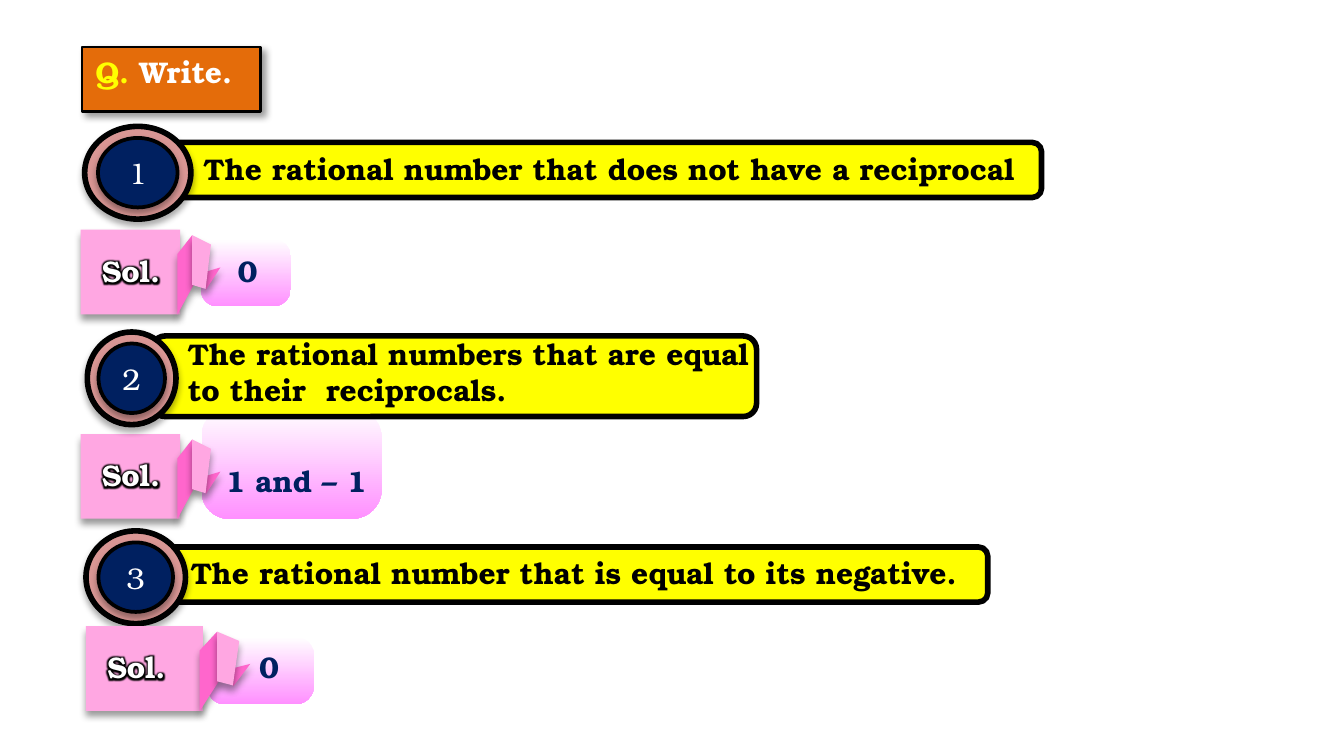
from lxml import etree
from pptx import Presentation
from pptx.dml.color import RGBColor
from pptx.enum.shapes import MSO_SHAPE
from pptx.enum.text import MSO_ANCHOR, MSO_AUTO_SIZE, PP_ALIGN
from pptx.oxml.ns import qn
from pptx.util import Inches, Pt

RECTANGLE = MSO_SHAPE.RECTANGLE
ROUNDED = MSO_SHAPE.ROUNDED_RECTANGLE
ROUNDED_ENDS = MSO_SHAPE.ROUND_2_SAME_RECTANGLE
OVAL = MSO_SHAPE.OVAL
TOP, MIDDLE = MSO_ANCHOR.TOP, MSO_ANCHOR.MIDDLE
LEFT, CENTER = PP_ALIGN.LEFT, PP_ALIGN.CENTER
FIXED = MSO_AUTO_SIZE.NONE

BLACK = RGBColor(0x00, 0x00, 0x00)
WHITE = RGBColor(0xFF, 0xFF, 0xFF)
YELLOW = RGBColor(0xFF, 0xFF, 0x00)
ORANGE = RGBColor(0xE4, 0x6C, 0x0A)
ROSE = RGBColor(0xD9, 0x96, 0x94)
NAVY = RGBColor(0x00, 0x20, 0x60)
PINK = RGBColor(0xFF, 0xA7, 0xE2)
DEEP_PINK = RGBColor(0xFF, 0x66, 0xCC)
ANSWER_PINK = RGBColor(0xFF, 0x90, 0xFF)

TAG_WIDTH, TAG_HEIGHT = 0.74, 0.63
RIBBON_FOLDS = [
    (DEEP_PINK, [(0.72, 0.63), (0.72, 0.18), (0.83, 0.04), (0.84, 0.41)]),
    (DEEP_PINK, [(0.93, 0.45), (0.94, 0.31), (1.04, 0.28)]),
    (PINK, [(0.83, 0.41), (0.83, 0.04), (0.97, 0.11), (0.93, 0.44)]),
]


class Worksheet:
    font = "TeX Gyre Bonum"
    size = Pt(16)

    def __init__(self, deck):
        self.page = deck.slides.add_slide(deck.slide_layouts[5])
        self.shapes = self.page.shapes

    def style_span(self, span, color, bold=True):
        span.font.name = self.font
        span.font.size = self.size
        span.font.bold = bold
        span.font.color.rgb = color

    def add_effect(self, parent, tag, color, alpha, **attributes):
        effects = etree.SubElement(parent, qn("a:effectLst"))
        effect = etree.SubElement(effects, qn(f"a:{tag}"), **attributes)
        tint = etree.SubElement(effect, qn("a:srgbClr"), val=str(color))
        etree.SubElement(tint, qn("a:alpha"), val=str(alpha * 1000))
        return effects

    def cast_shadow(self, shape, alpha=40, blur=4, distance=3, angle=90):
        properties = shape.element.spPr
        for effects in properties.findall(qn("a:effectLst")):
            properties.remove(effects)
        self.add_effect(properties, "outerShdw", BLACK, alpha,
                        blurRad=str(Pt(blur)), dist=str(Pt(distance)),
                        dir=str(angle * 60000), algn="ctr", rotWithShape="0")

    def paint(self, shape, fill, line=None):
        shape.shadow.inherit = False
        shape.fill.solid()
        shape.fill.fore_color.rgb = fill
        if line:
            shape.line.color.rgb = BLACK
            shape.line.width = Pt(line)
        else:
            shape.line.fill.background()

    def block(self, kind, left, top, width, height, fill, line=None):
        shape = self.shapes.add_shape(kind, Inches(left), Inches(top),
                                      Inches(width), Inches(height))
        self.paint(shape, fill, line)
        return shape

    def label(self, text, left, top, width, height, color, align=LEFT, wrap=True):
        box = self.shapes.add_textbox(Inches(left), Inches(top),
                                      Inches(width), Inches(height))
        box.text_frame.word_wrap = wrap
        box.text_frame.text = text
        para = box.text_frame.paragraphs[0]
        para.alignment = align
        self.style_span(para.runs[0], color)
        return box

    def title(self, prefix, text):
        box = self.shapes.title
        box.left, box.top = Inches(0.61), Inches(0.35)
        box.width, box.height = Inches(1.33), Inches(0.48)
        self.paint(box, ORANGE, 1.5)
        self.cast_shadow(box, angle=45)
        frame = box.text_frame
        frame.auto_size = FIXED
        frame.vertical_anchor = TOP
        para = frame.paragraphs[0]
        para.alignment = LEFT
        for words, color in ((prefix, YELLOW), (text, WHITE)):
            span = para.add_run()
            span.text = words
            self.style_span(span, color)

    def question(self, number, text, bar, text_area, ring, align=CENTER):
        self.block(ROUNDED, *bar, YELLOW, 3)
        self.label(text, *text_area, BLACK, align)
        left, top, width, height = ring
        badge = self.block(OVAL, *ring, ROSE, 3)
        center = self.block(OVAL, left + width / 8, top + height / 8,
                            width * 0.75, height * 0.75, NAVY, 2)
        for oval in (badge, center):
            self.cast_shadow(oval, 32, 3.5, 2.2)
        frame = center.text_frame
        frame.vertical_anchor = MIDDLE
        frame.text = str(number)
        frame.paragraphs[0].alignment = CENTER
        self.style_span(frame.paragraphs[0].runs[0], WHITE, False)

    def answer(self, text, center_x, center_y, width, height, text_area):
        panel = self.block(ROUNDED_ENDS, center_x - height / 2,
                           center_y - width / 2, height, width, ANSWER_PINK)
        panel.rotation = 90
        panel.adjustments[0], panel.adjustments[1] = 0.27, 0.25
        panel.fill.gradient()
        panel.fill.gradient_angle = 0
        for stop, color in zip(panel.fill.gradient_stops, (WHITE, ANSWER_PINK)):
            stop.color.rgb = color
        self.label(text, *text_area, NAVY)

    def solution_tag(self, left, top, width=TAG_WIDTH):
        tag = self.block(RECTANGLE, left, top, width, TAG_HEIGHT, PINK)
        self.cast_shadow(tag)
        stretch = width / TAG_WIDTH
        for color, fold in RIBBON_FOLDS:
            points = [(Inches(left + x * stretch), Inches(top + y)) for x, y in fold]
            builder = self.shapes.build_freeform(*points[0])
            builder.add_line_segments(points[1:], close=True)
            ribbon = builder.convert_to_shape()
            self.paint(ribbon, color)
            self.cast_shadow(ribbon)
        box = self.label("Sol.", left + 0.06, top + 0.12, width - 0.1, 0.37,
                         WHITE, wrap=False)
        properties = next(box.element.iter(qn("a:rPr")))
        glow = self.add_effect(properties, "glow", BLACK, 100, rad=str(Pt(5)))
        properties.find(qn("a:solidFill")).addnext(glow)


def main():
    deck = Presentation()
    deck.slide_width = Inches(10)
    deck.slide_height = deck.slide_width * 9 // 16
    sheet = Worksheet(deck)
    sheet.title("Q. ", "Write.")

    sheet.question(1, "The rational number that does not have a reciprocal",
                   (1.09, 1.06, 6.66, 0.41), (0.93, 1.07, 7.21, 0.64),
                   (0.63, 0.94, 0.79, 0.69))
    sheet.answer("0", 1.83, 2.03, 0.67, 0.5, (1.67, 1.83, 0.38, 0.37))
    sheet.solution_tag(0.6, 1.71)

    sheet.answer("1 and – 1", 2.17, 3.45, 1.34, 0.82, (1.58, 3.39, 1.74, 0.37))
    sheet.solution_tag(0.6, 3.23)
    sheet.question(2, "The rational numbers that are equal to their  reciprocals.",
                   (1.13, 2.5, 4.5, 0.6), (1.3, 2.45, 4.62, 0.64),
                   (0.65, 2.47, 0.66, 0.69), LEFT)

    sheet.question(3, "The rational number that is equal to its negative. ",
                   (1.08, 4.07, 6.27, 0.41), (0.92, 4.08, 6.78, 0.64),
                   (0.64, 3.95, 0.74, 0.69))
    sheet.answer("0", 1.94, 4.99, 0.79, 0.5, (1.83, 4.78, 0.44, 0.37))
    sheet.solution_tag(0.64, 4.66, 0.87)

    deck.save("out.pptx")


if __name__ == "__main__":
    main()
